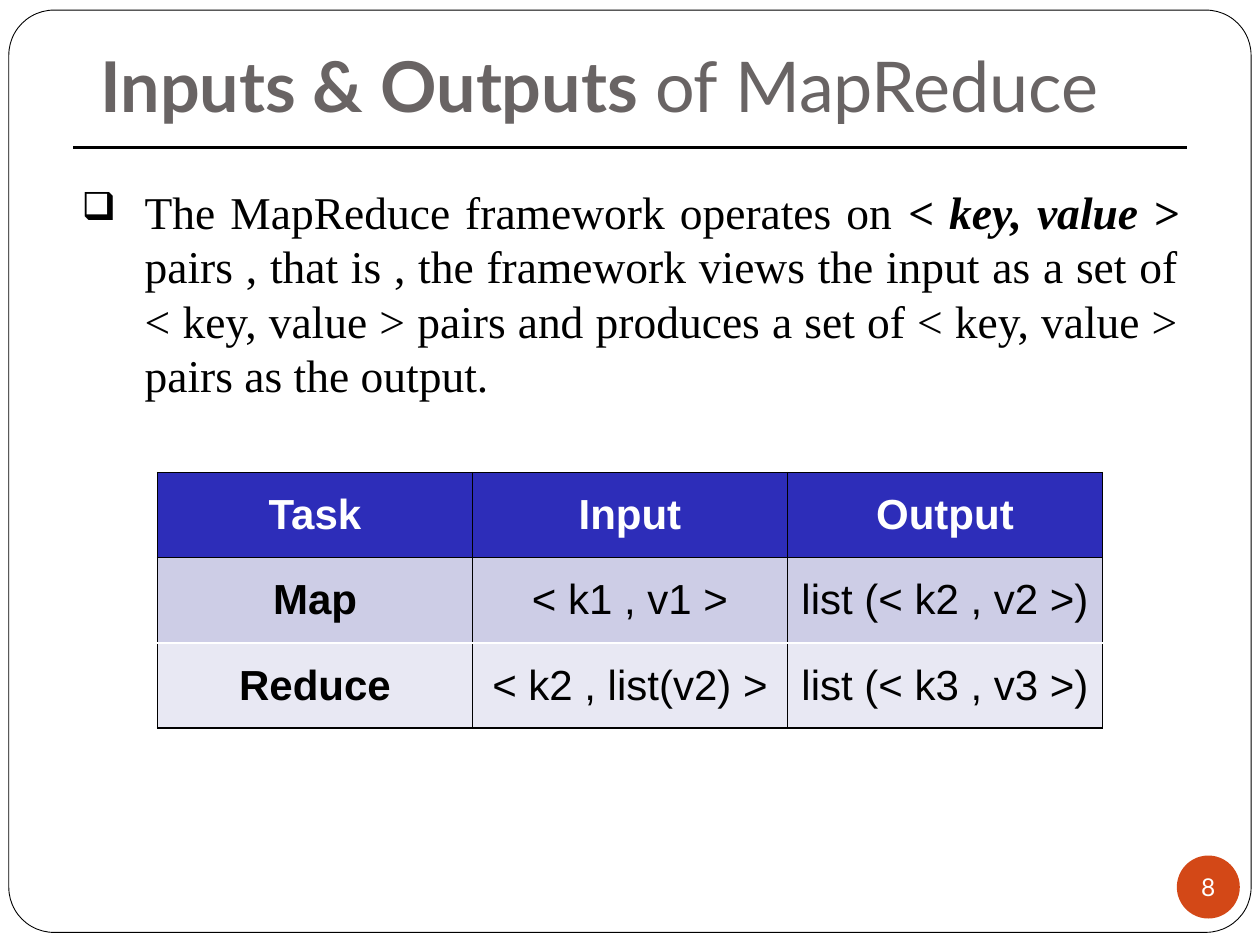
from lxml.etree import SubElement
from pptx import Presentation
from pptx.dml.color import RGBColor
from pptx.enum.shapes import MSO_CONNECTOR, MSO_SHAPE
from pptx.enum.text import MSO_ANCHOR, PP_ALIGN
from pptx.oxml.ns import qn
from pptx.util import Inches, Pt

BLACK = RGBColor(0x00, 0x00, 0x00)
WHITE = RGBColor(0xFF, 0xFF, 0xFF)
GRAY = RGBColor(0x69, 0x64, 0x64)
ORANGE = RGBColor(0xD3, 0x48, 0x17)
BLUE = RGBColor(0x2D, 0x2D, 0xB9)
LILAC = RGBColor(0xCD, 0xCD, 0xE6)
PALE = RGBColor(0xE8, 0xE8, 0xF3)

# Runs are (text, style), where the style holds b for bold and i for italic.
TITLE = [("Inputs & Outputs ", "b"), ("of MapReduce", "")]
BODY = [
    ("The MapReduce framework operates on ", ""),
    ("< key, value >", "bi"),
    (" pairs , that is , the framework views the input as a set of "
     "< key, value > pairs and produces a set of < key, value > "
     "pairs as the output.", ""),
]
TASKS = [
    ("Task", "Input", "Output"),
    ("Map", "< k1 , v1 >", "list (< k2 , v2 >)"),
    ("Reduce", "< k2 , list(v2) >", "list (< k3 , v3 >)"),
]
FILLS = [BLUE, LILAC, PALE]
PAGE = "8"


def write(frame, runs, font="Arial", size=24, color=BLACK,
          align=PP_ALIGN.LEFT, anchor=MSO_ANCHOR.TOP, wrap=True):
    frame.word_wrap = wrap
    frame.vertical_anchor = anchor
    par = frame.paragraphs[0]
    par.alignment = align
    for text, style in runs:
        run = par.add_run()
        run.text = text
        run.font.name = font
        run.font.size = Pt(size)
        run.font.color.rgb = color
        run.font.bold = "b" in style
        run.font.italic = "i" in style
    return par


def add_box(slide, *place):
    return slide.shapes.add_textbox(*map(Inches, place)).text_frame


def add_plain(slide, kind, *place):
    shape = slide.shapes.add_shape(kind, *map(Inches, place))
    shape.shadow.inherit = False
    return shape


def add_bullet(par, char, indent, scale):
    props = par._p.get_or_add_pPr()
    props.set("marL", str(indent))
    props.set("indent", str(-indent))
    SubElement(props, qn("a:buSzPct"), val=str(scale * 1000))
    SubElement(props, qn("a:buChar"), char=char)


def set_edges(cell, colors):
    """Draw 1 pt borders, with colors keyed by L, R, T and B."""
    props = cell._tc.get_or_add_tcPr()
    for pos, (side, color) in enumerate(colors.items()):
        line = SubElement(props, qn(f"a:ln{side}"), w=str(Pt(1)))
        fill = SubElement(line, qn("a:solidFill"))
        SubElement(fill, qn("a:srgbClr"), val=str(color))
        props.remove(line)
        props.insert(pos, line)


def add_frame(slide):
    frame = add_plain(slide, MSO_SHAPE.ROUNDED_RECTANGLE,
                      0.07, 0.08, 9.86, 7.32)
    frame.adjustments[0] = 0.049
    frame.fill.background()
    frame.line.color.rgb = BLACK
    frame.line.width = Pt(0.5)
    rule = slide.shapes.add_connector(
        MSO_CONNECTOR.STRAIGHT, *map(Inches, (0.58, 1.17, 9.42, 1.17)))
    rule.line.color.rgb = BLACK
    rule.line.width = Pt(1.5)
    SubElement(rule._element.spPr, qn("a:effectLst"))


def add_tasks(slide):
    rows, cols = len(TASKS), len(TASKS[0])
    table = slide.shapes.add_table(
        rows, cols, *map(Inches, (1.25, 3.75, 7.5, 2.03))).table
    for r, (row, shade) in enumerate(zip(TASKS, FILLS)):
        for c, text in enumerate(row):
            cell = table.cell(r, c)
            cell.fill.solid()
            cell.fill.fore_color.rgb = shade
            write(cell.text_frame, [(text, "b" if r == 0 or c == 0 else "")],
                  color=WHITE if r == 0 else BLACK, align=PP_ALIGN.CENTER)
            cell.vertical_anchor = MSO_ANCHOR.MIDDLE
            set_edges(cell, {"L": BLACK, "R": BLACK,
                             "T": WHITE if r == 2 else BLACK,
                             "B": WHITE if r == 1 else BLACK})


def add_badge(slide):
    badge = add_plain(slide, MSO_SHAPE.OVAL, 9.34, 6.79, 0.5, 0.5)
    badge.fill.solid()
    badge.fill.fore_color.rgb = ORANGE
    badge.line.fill.background()
    frame = badge.text_frame
    frame.margin_left = frame.margin_right = 0
    frame.margin_top = frame.margin_bottom = 0
    write(frame, [(PAGE, "")], font="Lato", size=14, color=WHITE,
          align=PP_ALIGN.CENTER, anchor=MSO_ANCHOR.MIDDLE, wrap=False)


def main():
    deck = Presentation()
    deck.slide_width, deck.slide_height = Inches(10), Inches(7.5)
    slide = deck.slides.add_slide(deck.slide_layouts[6])
    add_frame(slide)

    title = add_box(slide, 0.7, 0.22, 8.5, 0.88)
    title.margin_bottom = Inches(0.1)
    write(title, TITLE, font="Lato", size=40, color=GRAY,
          anchor=MSO_ANCHOR.BOTTOM)

    body = write(add_box(slide, 0.55, 1.41, 8.91, 2.03), BODY,
                 font="Times New Roman", size=26, align=PP_ALIGN.JUSTIFY)
    body.space_before = Pt(5.8)
    add_bullet(body, "❑", Inches(0.5), 85)

    add_tasks(slide)
    add_badge(slide)
    deck.save("out.pptx")


if __name__ == "__main__":
    main()
